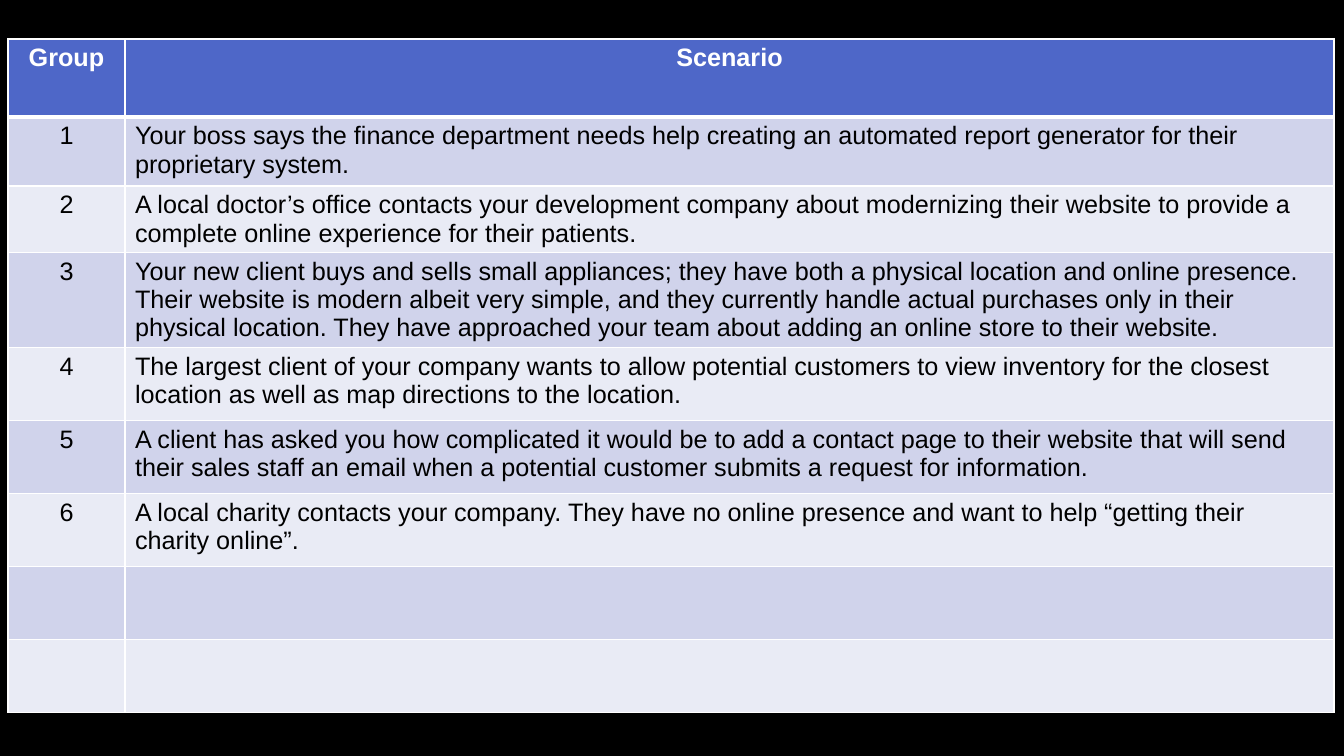
from dataclasses import dataclass

from lxml import etree
from pptx import Presentation
from pptx import util as u
from pptx.dml.color import RGBColor
from pptx.enum import text
from pptx.oxml import ns

PX = 9071.43  # EMU in one pixel


@dataclass(frozen=True)
class Theme:
    back: str = "000000"
    head: str = "4E67C8"
    bands: tuple = ("D0D3EB", "E9EBF5")
    ink: str = "000000"
    light: str = "FFFFFF"
    font: str = "Arial"
    size: int = 18
    thin: int = 1
    thick: int = 3


THEME = Theme()
HEAD = ("Group", "Scenario")
TASKS = (
    "Your boss says the finance department needs help creating an automated "
    "report generator for their proprietary system.",
    "A local doctor’s office contacts your development company about modernizing "
    "their website to provide a complete online experience for their patients.",
    "Your new client buys and sells small appliances; they have both a physical "
    "location and online presence. Their website is modern albeit very simple, and "
    "they currently handle actual purchases only in their physical location. They "
    "have approached your team about adding an online store to their website.",
    "The largest client of your company wants to allow potential customers to view "
    "inventory for the closest location as well as map directions to the location.",
    "A client has asked you how complicated it would be to add a contact page to "
    "their website that will send their sales staff an email when a potential "
    "customer submits a request for information.",
    "A local charity contacts your company. They have no online presence and want "
    "to help “getting their charity online”.",
)
SPARE = 2  # empty rows at the foot
LEFT, TOP = 8, 39
WIDTHS = (117, 1209)
HEIGHTS = (78, 69, 66, 95) + (73,) * 5


def emu(px):
    return u.Emu(round(px * PX))


def paint(fill, color):
    fill.solid()
    fill.fore_color.rgb = RGBColor.from_string(color)


def edge(cell, top, foot):
    """Draw white borders, with the given top and bottom widths."""
    props = cell._tc.get_or_add_tcPr()
    sides = {"lnL": THEME.thin, "lnR": THEME.thin, "lnT": top, "lnB": foot}
    for spot, (tag, width) in enumerate(sides.items()):
        line = etree.Element(ns.qn("a:" + tag), w=str(u.Pt(width)))
        fill = etree.SubElement(line, ns.qn("a:solidFill"))
        etree.SubElement(fill, ns.qn("a:srgbClr"), val=THEME.light)
        props.insert(spot, line)


def write(cell, words, color, bold, mid):
    cell.text = words
    para = cell.text_frame.paragraphs[0]
    para.alignment = text.PP_ALIGN.CENTER if mid else text.PP_ALIGN.LEFT
    font = para.font
    font.name, font.size, font.bold = THEME.font, u.Pt(THEME.size), bold
    font.color.rgb = RGBColor.from_string(color)


def grid(slide, rows):
    frame = slide.shapes.add_table(
        len(rows), len(WIDTHS), emu(LEFT), emu(TOP),
        emu(sum(WIDTHS)), emu(sum(HEIGHTS)))
    table = frame.table
    for col, width in zip(table.columns, WIDTHS):
        col.width = emu(width)
    for r, (row, height) in enumerate(zip(rows, HEIGHTS)):
        table.rows[r].height = emu(height)
        head = r == 0
        shade = THEME.head if head else THEME.bands[(r - 1) % 2]
        for c, words in enumerate(row):
            cell = table.cell(r, c)
            paint(cell.fill, shade)
            edge(cell, THEME.thick if r == 1 else THEME.thin,
                 THEME.thick if head else THEME.thin)
            if words:
                write(cell, words, THEME.light if head else THEME.ink,
                      head, head or c == 0)


def main():
    # Black slide
    deck = Presentation()
    deck.slide_width, deck.slide_height = emu(1344), emu(756)
    slide = deck.slides.add_slide(deck.slide_layouts[6])
    paint(slide.background.fill, THEME.back)

    # Numbered scenarios, then the spare rows
    rows = [HEAD]
    rows += [(str(n), task) for n, task in enumerate(TASKS, 1)]
    rows += [("", "")] * SPARE
    grid(slide, rows)
    deck.save("out.pptx")


main()
